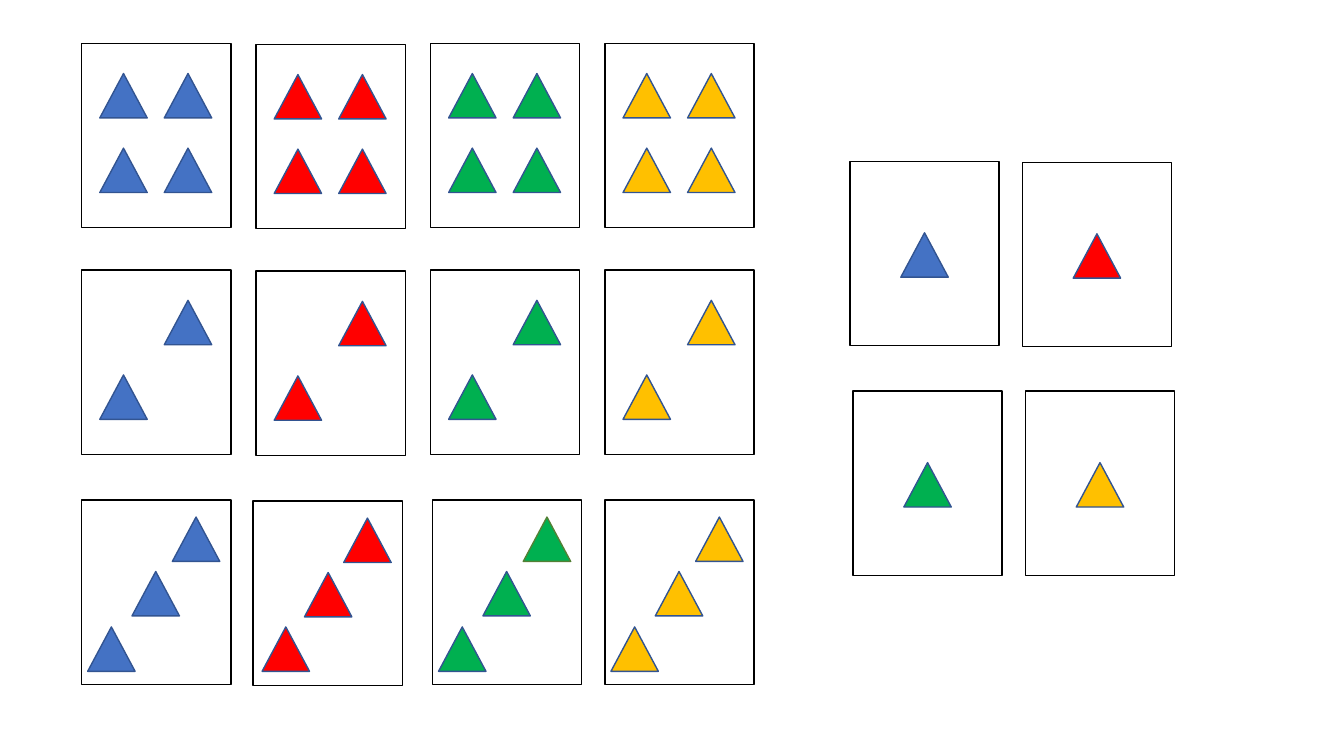
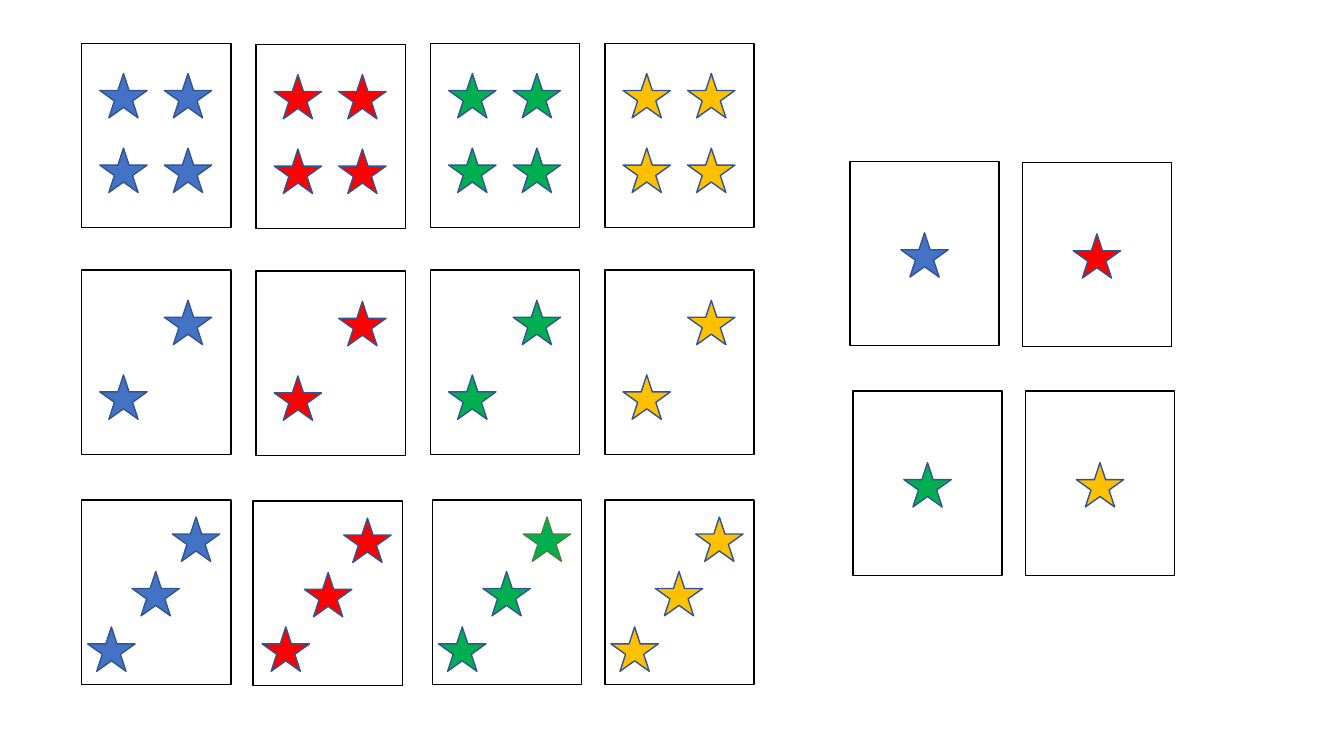
from pptx import Presentation
from pptx.dml.color import RGBColor
from pptx.enum.shapes import MSO_SHAPE
from pptx.util import Inches, Pt

BLUE, RED, GREEN, GOLD = COLOURS = ("4472C4", "FF0000", "00B050", "FFC000")
WHITE, BLACK, NAVY, OLIVE = "FFFFFF", "000000", "325491", "538035"
CARD_WIDTH, CARD_HEIGHT = 1.48, 1.83
MARK_WIDTH, MARK_HEIGHT = 0.47, 0.44
RED_DROP = 0.01

GRID_LEFT, COLUMN_STEP = 0.81, 1.73
SINGLE_LEFT, SINGLE_STEP = 8.43, 1.71
SINGLE_TOP, SINGLE_ROW_STEP = 1.6, 2.28
SINGLE_ROW_SHIFT = 0.03

NEAR, FAR, UPPER, LOWER = 0.18, 0.82, 0.3, 1.04
FOUR = [(NEAR, UPPER), (FAR, UPPER), (NEAR, LOWER), (FAR, LOWER)]
TWO = [(FAR, UPPER), (NEAR, LOWER)]
THREE = [(0.9, 0.17), (0.06, 1.26), (0.5, 0.71)]
RED_THREE = [(0.9, 0.17), (0.09, 1.25), (0.51, 0.71)]
ONE = [((CARD_WIDTH - MARK_WIDTH) / 2, 0.71)]
GRID_ROWS = [
    (0.43, FOUR, (0, 0, 0, 0)),
    (2.68, TWO, (0, 0, 0, 0)),
    (4.96, THREE, (0, -0.03, 0.02, 0)),
]

cards = []
for top, marks, shifts in GRID_ROWS:
    for column, (colour, shift) in enumerate(zip(COLOURS, shifts)):
        left = GRID_LEFT + column * COLUMN_STEP + shift
        pattern = RED_THREE if marks is THREE and colour == RED else marks
        cards.append((left, top, colour, pattern))
for index, colour in enumerate(COLOURS):
    row, column = divmod(index, 2)
    left = SINGLE_LEFT + column * SINGLE_STEP + row * SINGLE_ROW_SHIFT
    cards.append((left, SINGLE_TOP + row * SINGLE_ROW_STEP, colour, ONE))


def rgb(colour):
    return RGBColor.from_string(colour)


def add_outlined(group, kind, left, top, width, height, fill, line):
    shape = group.shapes.add_shape(
        kind, Inches(left), Inches(top), Inches(width), Inches(height))
    shape.shadow.inherit = False
    shape.fill.solid()
    shape.fill.fore_color.rgb = rgb(fill)
    shape.line.color.rgb = rgb(line)
    shape.line.width = Pt(1)


presentation = Presentation()
presentation.slide_width = Inches(13.33)
presentation.slide_height = Inches(7.5)

for mark_kind in (MSO_SHAPE.ISOSCELES_TRIANGLE, MSO_SHAPE.STAR_5_POINT):
    slide = presentation.slides.add_slide(presentation.slide_layouts[6])
    for left, top, colour, pattern in cards:
        if colour == RED:
            top += RED_DROP
        group = slide.shapes.add_group_shape()
        add_outlined(group, MSO_SHAPE.RECTANGLE, left, top,
                     CARD_WIDTH, CARD_HEIGHT, WHITE, BLACK)
        for position, (across, down) in enumerate(pattern):
            green_top = colour == GREEN and pattern is THREE and position == 0
            add_outlined(group, mark_kind, left + across, top + down,
                         MARK_WIDTH, MARK_HEIGHT, colour,
                         OLIVE if green_top else NAVY)

presentation.save("out.pptx")
